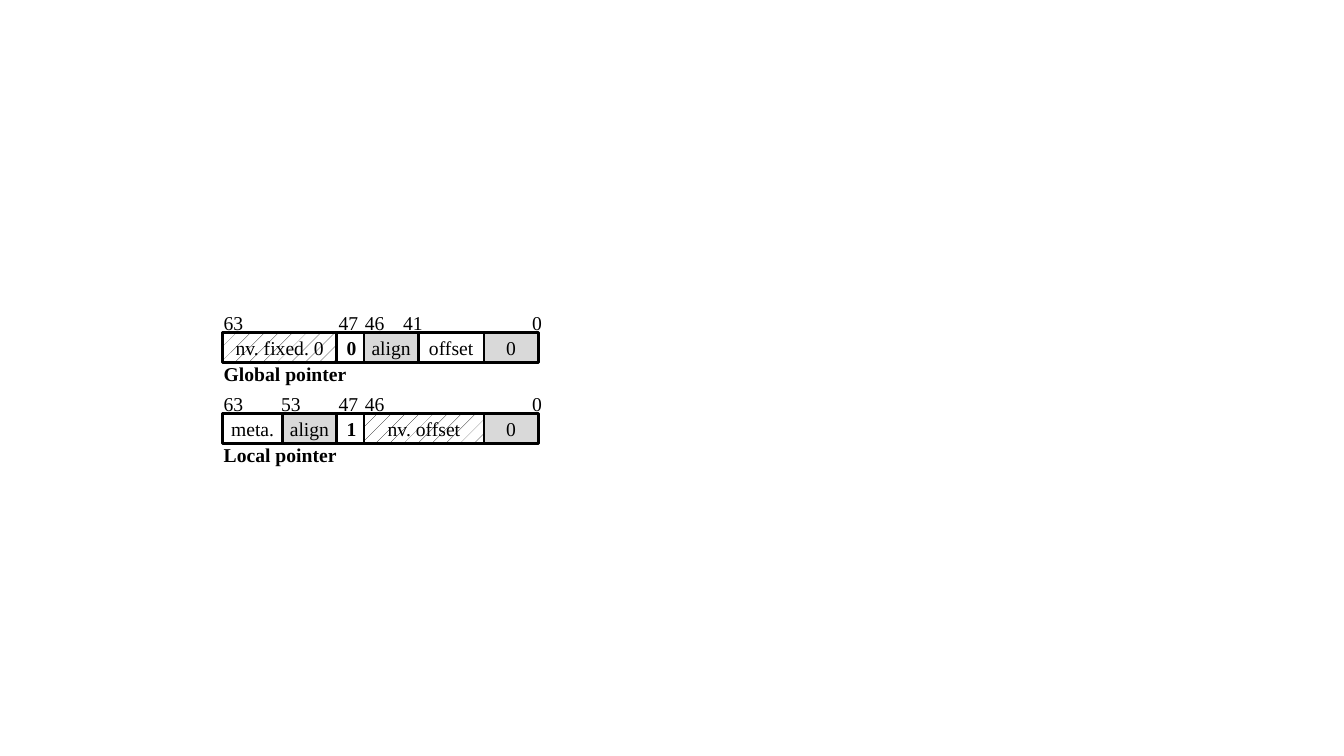
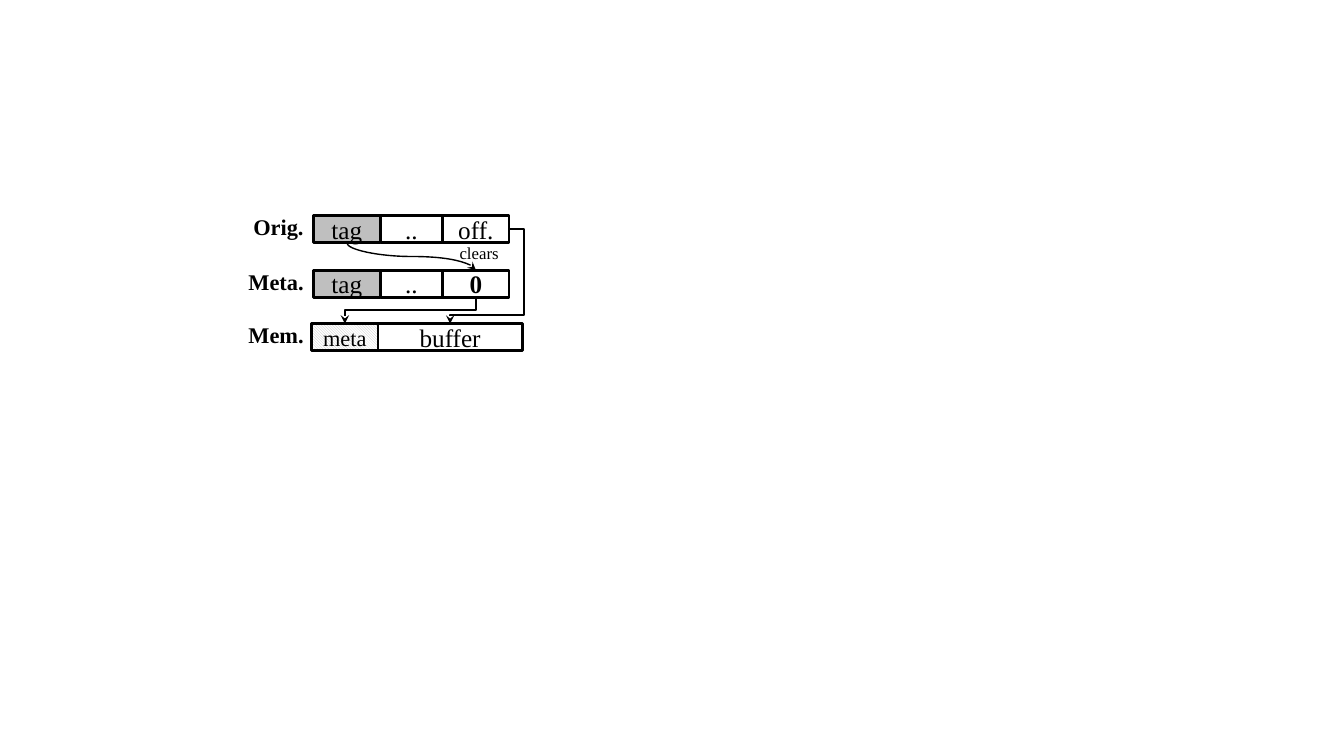
from lxml.etree import SubElement
from pptx import Presentation
from pptx.dml.color import RGBColor
from pptx.enum.dml import MSO_PATTERN
from pptx.enum.shapes import MSO_CONNECTOR, MSO_SHAPE
from pptx.enum.text import MSO_ANCHOR, MSO_AUTO_SIZE, PP_ALIGN
from pptx.oxml.ns import qn
from pptx.util import Inches, Pt

FONT = "Times New Roman"
BLACK, WHITE, LIGHT_GRAY, GRAY = "000000", "FFFFFF", "D9D9D9", "BFBFBF"
DOTTED = (MSO_PATTERN.PERCENT_5, BLACK)
STRIPED = (MSO_PATTERN.LIGHT_DOWNWARD_DIAGONAL, GRAY)
TOP, BOTTOM, RIGHT = 0, 2, 3


def color(value):
    return RGBColor.from_string(value)


def set_values(target, values):
    for name, value in values.items():
        setattr(target, name, value)


def write_text(shape, text, size, bold=False, align=PP_ALIGN.LEFT, **frame_values):
    frame = shape.text_frame
    set_values(frame, {"word_wrap": True, **frame_values})
    paragraph = frame.paragraphs[0]
    paragraph.alignment = align
    run = paragraph.add_run()
    run.text = text
    set_values(run.font, {"name": FONT, "size": Pt(size), "bold": bold})
    run.font.color.rgb = color(BLACK)


def add_label(slide, text, left, top, width, height, size, **text_values):
    shape = slide.shapes.add_textbox(*map(Inches, (left, top, width, height)))
    write_text(shape, text, size, auto_size=MSO_AUTO_SIZE.SHAPE_TO_FIT_TEXT, **text_values)


def paint(fill, style):
    if isinstance(style, str):
        fill.solid()
        fill.fore_color.rgb = color(style)
        return
    fill.patterned()
    fill.pattern, foreground = style
    fill.fore_color.rgb = color(foreground)
    fill.back_color.rgb = color(WHITE)


def add_field(slide, text, left, top, width, height, style, size, bold=False, tight=False):
    shape = slide.shapes.add_shape(
        MSO_SHAPE.RECTANGLE, *map(Inches, (left, top, width, height)))
    shape.shadow.inherit = False
    paint(shape.fill, style)
    shape.line.color.rgb = color(BLACK)
    shape.line.width = Pt(2)
    sides = ("left", "right", "top", "bottom") if tight else ()
    margins = {f"margin_{side}": 0 for side in sides}
    write_text(shape, text, size, bold, PP_ALIGN.CENTER,
               vertical_anchor=MSO_ANCHOR.MIDDLE, **margins)
    return shape


def add_field_row(slide, left, top, height, size, fields):
    shapes = []
    for text, width, style, *flags in fields:
        shapes.append(add_field(slide, text, left, top, width, height, style, size, *flags))
        left += width
    return shapes


def turn_downward(connector):
    start_x, end_x = connector.begin_x, connector.end_x
    start_y, end_y = connector.begin_y, connector.end_y
    width, height = abs(end_y - start_y), abs(end_x - start_x)
    set_values(connector, {
        "left": (start_x + end_x - width) // 2,
        "top": (start_y + end_y - height) // 2,
        "width": width,
        "height": height,
    })
    transform = connector._element.spPr.find(qn("a:xfrm"))
    for name in ("flipH", "flipV"):
        transform.attrib.pop(name, None)
    transform.set("rot", str(90 * 60000))
    if end_x > start_x:
        transform.set("flipV", "1")


def add_arrow(slide, start, start_site, end, end_site, preset, width, bends):
    kind = MSO_CONNECTOR.CURVE if preset.startswith("curved") else MSO_CONNECTOR.ELBOW
    connector = slide.shapes.add_connector(kind, 0, 0, 0, 0)
    connector.begin_connect(start, start_site)
    connector.end_connect(end, end_site)
    if start_site == BOTTOM:
        turn_downward(connector)
    connector.line.color.rgb = color(BLACK)
    connector.line.width = Pt(width)
    properties = connector._element.spPr
    geometry = properties.find(qn("a:prstGeom"))
    geometry.set("prst", preset)
    guides = geometry.find(qn("a:avLst"))
    for number, bend in enumerate(bends, 1):
        SubElement(guides, qn("a:gd"), name=f"adj{number}" if len(bends) > 1 else "adj1",
                   fmla=f"val {round(bend * 100000)}")
    SubElement(connector.line._get_or_add_ln(), qn("a:tailEnd"), type="stealth")
    SubElement(properties, qn("a:effectLst"))


def add_pointer_layout(slide, name, top, bits, fields):
    add_field_row(slide, 2.21, top, 0.3, 14, fields)
    for bit, left in bits:
        add_label(slide, bit, left, top - 0.26, 0.43, 0.34, 14)
    add_label(slide, name, 2.12, top + 0.24, 2.08, 0.34, 14, bold=True)


def build_pointer_slide(slide):
    add_pointer_layout(
        slide, "Global pointer", 3.3,
        [("63", 2.12), ("47", 3.26), ("46", 3.52), ("41", 3.9), ("0", 5.18)],
        [("nv. fixed. 0", 1.13, DOTTED), ("0", 0.27, WHITE, True),
         ("align", 0.54, LIGHT_GRAY, False, True), ("offset", 0.65, WHITE),
         ("0", 0.54, LIGHT_GRAY)])
    add_pointer_layout(
        slide, "Local pointer", 4.1,
        [("63", 2.12), ("53", 2.69), ("47", 3.26), ("46", 3.52), ("0", 5.18)],
        [("meta.", 0.59, WHITE, False, True), ("align", 0.54, LIGHT_GRAY, False, True),
         ("1", 0.27, WHITE, True), ("nv. offset", 1.19, DOTTED),
         ("0", 0.54, LIGHT_GRAY)])


def build_memory_slide(slide):
    tops = (2.14, 2.68, 3.21)
    for text, top in zip(("Orig.", "Meta.", "Mem."), tops):
        add_label(slide, text, 1.84, top - 0.07, 1.27, 0.37, 16,
                  bold=True, align=PP_ALIGN.RIGHT)
    tag_fields = [("tag", 0.66, GRAY), ("..", 0.62, WHITE)]
    tag, _, offset = add_field_row(
        slide, 3.11, tops[0], 0.27, 18, tag_fields + [("off.", 0.66, WHITE)])
    *_, zero = add_field_row(
        slide, 3.11, tops[1], 0.27, 18, tag_fields + [("0", 0.66, WHITE, True)])
    buffer = add_field(slide, "buffer", 3.75, tops[2], 1.43, 0.27, WHITE, 18)
    meta = add_field(slide, "meta", 3.09, tops[2], 0.66, 0.27, STRIPED, 16)
    add_label(slide, "clears", 4.46, 2.36, 0.83, 0.3, 12)
    add_arrow(slide, offset, RIGHT, buffer, TOP, "bentConnector4", 1.5, (-0.25, 0.91))
    add_arrow(slide, tag, BOTTOM, zero, TOP, "curvedConnector3", 1, (0.5,))
    add_arrow(slide, zero, BOTTOM, meta, TOP, "bentConnector3", 1.5, (0.48,))


def main():
    presentation = Presentation()
    set_values(presentation, {"slide_width": Inches(13.33), "slide_height": Inches(7.5)})
    blank_layout = presentation.slide_layouts[6]
    for build in (build_pointer_slide, build_memory_slide):
        build(presentation.slides.add_slide(blank_layout))
    presentation.save("out.pptx")


if __name__ == "__main__":
    main()
